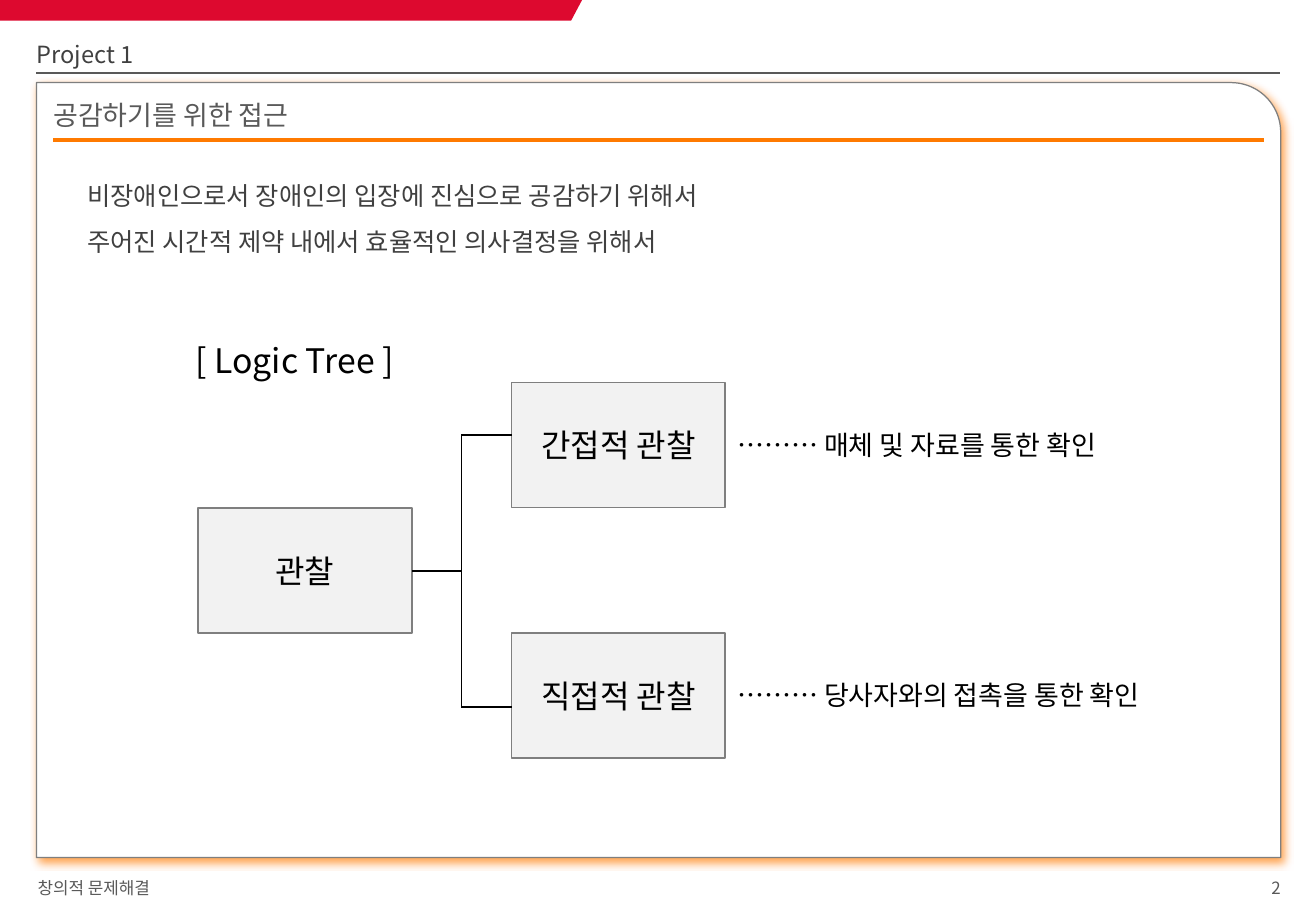
from typing import NamedTuple

from lxml import etree
from pptx import Presentation
from pptx.dml.color import RGBColor
from pptx.enum.shapes import MSO_CONNECTOR, MSO_SHAPE
from pptx.enum.text import MSO_ANCHOR, MSO_AUTO_SIZE, PP_ALIGN
from pptx.oxml.ns import qn
from pptx.util import Emu, Pt

PX = 9144  # one px is a hundredth of an inch
FONT = "Noto Sans CJK KR"

RED = RGBColor(0xDD, 0x09, 0x2F)
ORANGE = RGBColor(0xFF, 0x7A, 0x00)
WHITE = RGBColor(0xFF, 0xFF, 0xFF)
PALE = RGBColor(0xF2, 0xF2, 0xF2)
GRAY = RGBColor(0x7F, 0x7F, 0x7F)
SLATE = RGBColor(0x59, 0x59, 0x59)
DARK = RGBColor(0x40, 0x40, 0x40)
BLACK = RGBColor(0x00, 0x00, 0x00)

LEFT, CENTER, RIGHT = PP_ALIGN.LEFT, PP_ALIGN.CENTER, PP_ALIGN.RIGHT
TOP, MIDDLE = MSO_ANCHOR.TOP, MSO_ANCHOR.MIDDLE
FIXED = MSO_AUTO_SIZE.NONE
RECT, ROUND = MSO_SHAPE.RECTANGLE, MSO_SHAPE.ROUND_1_RECTANGLE
STRAIGHT = MSO_CONNECTOR.STRAIGHT


class Area(NamedTuple):
    left: int
    top: int
    width: int
    height: int

    def emu(self) -> list[Emu]:
        return [Emu(side * PX) for side in self]


class Style(NamedTuple):
    size: int
    color: RGBColor
    align: PP_ALIGN = LEFT
    anchor: MSO_ANCHOR = TOP
    inset: tuple[int, int] = (10, 10)
    spacing: float = 1.0


class Label(NamedTuple):
    area: Area
    lines: list[str]
    style: Style


class Node(NamedTuple):
    left: int
    top: int
    text: str


class Rule(NamedTuple):
    left: int
    right: int
    y: int
    color: RGBColor
    weight: float


NOTE = Style(16, BLACK)
FOOT = Style(10, SLATE, anchor=MIDDLE, inset=(0, 0))
HEAD = Style(16, SLATE, inset=(0, 0))
TOPIC = Style(14, DARK, anchor=MIDDLE, inset=(0, 10))
NODE = Style(19, BLACK, CENTER, MIDDLE)

PANEL = Area(30, 68, 1024, 638)
NODE_W, NODE_H = 176, 103
ROOT = Node(163, 418, "관찰")
NODES = [
    ROOT,
    Node(421, ROOT.top - NODE_H, "간접적 관찰"),
    Node(421, ROOT.top + NODE_H, "직접적 관찰"),
]
BRANCH = Area(339, 358, 82, 224)
# Sides drawn in each cell of the branch grid, row by row
SIDES = [["R", "LT"], ["RB", "L"], ["TR", "L"], ["R", "LB"]]

RULES = [Rule(30, 1053, 60, SLATE, 1), Rule(44, 1040, 115, ORANGE, 2.25)]

LABELS = [
    Label(Area(794, 717, 260, 27), ["2"], FOOT._replace(align=RIGHT)),
    Label(Area(31, 717, 542, 27), ["창의적 문제해결"], FOOT),
    Label(
        Area(62, 131, 586, 81),
        [
            "비장애인으로서 장애인의 입장에 진심으로 공감하기 위해서",
            "주어진 시간적 제약 내에서 효율적인 의사결정을 위해서",
        ],
        Style(15, DARK, spacing=1.5),
    ),
    Label(Area(151, 275, 211, 44), ["[ Logic Tree ]"], Style(20, BLACK)),
    Label(Area(597, 348, 411, 37), ["……… 매체 및 자료를 통한 확인"], NOTE),
    Label(Area(597, 554, 411, 37), ["……… 당사자와의 접촉을 통한 확인"], NOTE),
]


def write(shape, lines: list[str], style: Style) -> None:
    frame = shape.text_frame
    frame.word_wrap = True
    frame.auto_size = FIXED
    frame.vertical_anchor = style.anchor
    frame.margin_left, frame.margin_right = [Emu(x * PX) for x in style.inset]
    frame.margin_top = frame.margin_bottom = Emu(5 * PX)
    for index, line in enumerate(lines):
        para = frame.add_paragraph() if index else frame.paragraphs[0]
        para.alignment = style.align
        para.line_spacing = style.spacing
        para.space_before = Pt(0)
        run = para.add_run()
        run.text = line
        font = run.font
        font.size, font.bold, font.name = Pt(style.size), False, FONT
        font.color.rgb = style.color
        east = etree.SubElement(run._r.get_or_add_rPr(), qn("a:ea"))
        east.set("typeface", FONT)


def place(shape, area: Area) -> None:
    shape.left, shape.top, shape.width, shape.height = area.emu()


def draw_box(slide, kind: MSO_SHAPE, area: Area, fill: RGBColor, weight: float):
    box = slide.shapes.add_shape(kind, *area.emu())
    box.shadow.inherit = False
    box.fill.solid()
    box.fill.fore_color.rgb = fill
    box.line.color.rgb = GRAY
    box.line.width = Pt(weight)
    return box


def draw_banner(slide) -> None:
    pen = slide.shapes.build_freeform(0, 0, scale=float(PX))
    pen.add_line_segments([(479, 0), (470, 17), (0, 17)], close=True)
    banner = pen.convert_to_shape()
    banner.shadow.inherit = False
    banner.fill.solid()
    banner.fill.fore_color.rgb = RED
    banner.line.fill.background()


def draw_panel(slide) -> None:
    panel = draw_box(slide, ROUND, PANEL, WHITE, 0.75)
    panel.adjustments[0] = 0.064
    effects = panel._element.spPr.find(qn("a:effectLst"))
    glow = etree.SubElement(effects, qn("a:outerShdw"), blurRad=str(Pt(5)),
                            dist=str(Pt(3)), dir="2700000", algn="tl",
                            rotWithShape="0")
    color = etree.SubElement(glow, qn("a:srgbClr"), val=str(ORANGE))
    etree.SubElement(color, qn("a:alpha"), val="69000")


def draw_rule(slide, rule: Rule) -> None:
    ends = (rule.left, rule.y, rule.right, rule.y)
    line = slide.shapes.add_connector(STRAIGHT, *[Emu(x * PX) for x in ends])
    line.line.color.rgb = rule.color
    line.line.width = Pt(rule.weight)
    etree.SubElement(line._element.spPr, qn("a:effectLst"))


def draw_branch(slide) -> None:
    """Join the root to its two nodes with the borders of a grid."""
    table = slide.shapes.add_table(len(SIDES), 2, *BRANCH.emu()).table
    table.first_row = table.horz_banding = False
    for row, pair in enumerate(SIDES):
        for col, sides in enumerate(pair):
            cell = table.cell(row, col)
            props = cell._tc.get_or_add_tcPr()
            for side in "LRTB":
                edge = etree.SubElement(props, qn(f"a:ln{side}"), w=str(Pt(1)))
                if side in sides and (row, col, side) not in {(0, 0, "R")}:
                    fill = etree.SubElement(edge, qn("a:solidFill"))
                    etree.SubElement(fill, qn("a:srgbClr"), val=str(BLACK))
                else:
                    etree.SubElement(edge, qn("a:noFill"))
            cell.fill.background()


def main() -> None:
    deck = Presentation()
    deck.slide_width, deck.slide_height = Emu(1083 * PX), Emu(750 * PX)
    slide = deck.slides.add_slide(deck.slide_layouts[2])
    title, topic = slide.placeholders

    place(title, Area(44, 76, 996, 39))
    write(title, ["공감하기를 위한 접근"], HEAD)
    place(topic, Area(30, 29, 850, 31))
    write(topic, ["Project 1"], TOPIC)

    draw_banner(slide)
    draw_panel(slide)
    for rule in RULES:
        draw_rule(slide, rule)
    # The panel lies behind the title
    slide.shapes._spTree.append(title._element)

    for node in NODES:
        area = Area(node.left, node.top, NODE_W, NODE_H)
        write(draw_box(slide, RECT, area, PALE, 1), [node.text], NODE)
    draw_branch(slide)
    for label in LABELS:
        write(slide.shapes.add_textbox(*label.area.emu()), label.lines, label.style)
    deck.save("out.pptx")


if __name__ == "__main__":
    main()
